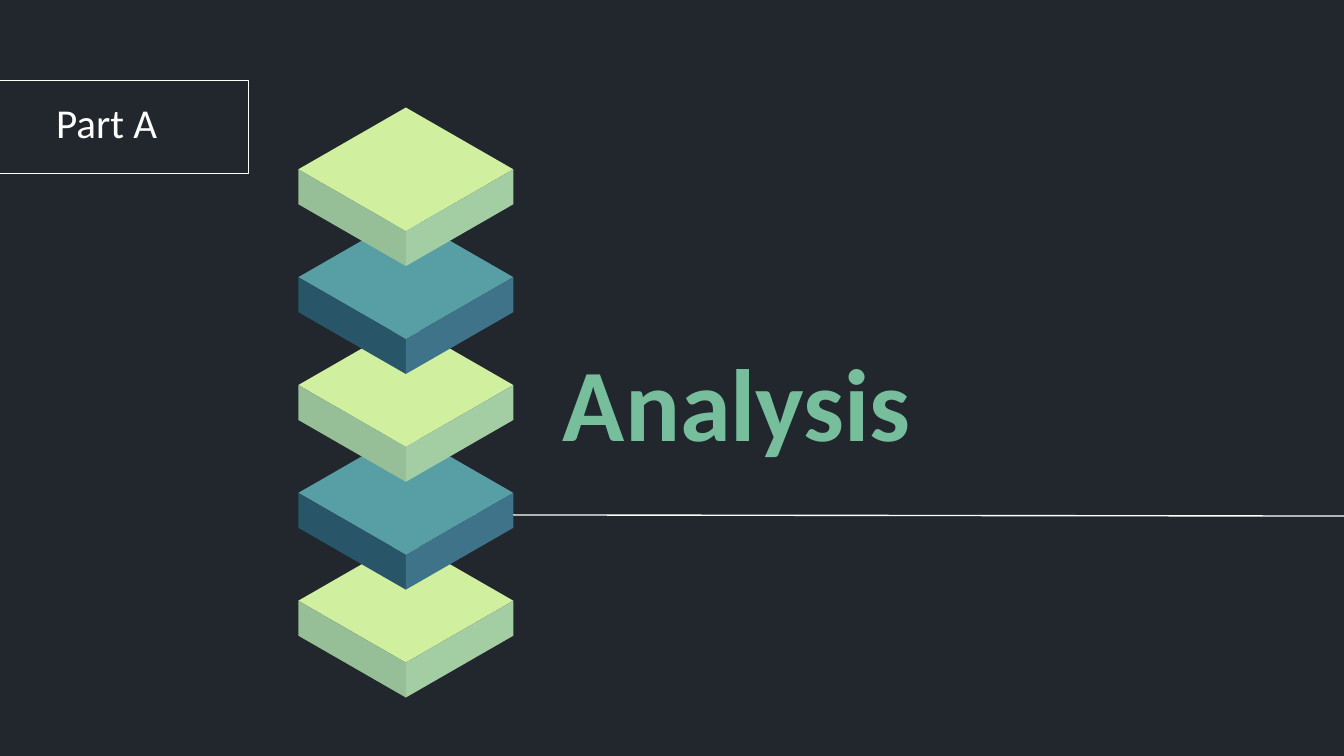
from lxml import etree
from pptx import Presentation
from pptx.dml.color import RGBColor
from pptx.enum import shapes, text
from pptx.oxml import ns
from pptx.util import Inches, Pt

COLORS = {
    "background": "22262D", "white": "FFFFFF", "title": "77BE9C",
    "lime top": "D0F09F", "lime left": "96BE97", "lime right": "A3CEA3",
    "teal top": "589EA5", "teal left": "295568", "teal right": "3E738A",
}
TILE_COUNT = 5
FIRST_TOP, LAST_TOP = 0.8, 4.01
CENTER, HALF_WIDTH, HALF_HEIGHT, DEPTH = 3.02, 0.8, 0.46, 0.26


def rgb(name):
    return RGBColor.from_string(COLORS[name])


def paint(fill, color):
    fill.solid()
    fill.fore_color.rgb = rgb(color)


def outline(line):
    line.color.rgb = rgb("white")
    line.width = Pt(0.75)


def add_tag_frame(slide):
    frame = slide.shapes.add_shape(
        shapes.MSO_SHAPE.RECTANGLE, Inches(-0.1), Inches(0.6), Inches(1.95), Inches(0.69))
    frame.shadow.inherit = False
    frame.fill.background()
    outline(frame.line)


def add_rule(slide):
    rule = slide.shapes.add_connector(
        shapes.MSO_CONNECTOR.STRAIGHT, Inches(2.63), Inches(3.83), Inches(10), Inches(3.84))
    outline(rule.line)
    etree.SubElement(rule._element.spPr, ns.qn("a:effectLst"))


def add_label(slide, wording, box, anchor, size, color, bold=False):
    label = slide.shapes.add_textbox(*map(Inches, box))
    frame = label.text_frame
    margin = Inches(0.1)
    frame_format = {
        "word_wrap": True, "vertical_anchor": anchor,
        "margin_left": margin, "margin_right": margin,
        "margin_top": margin, "margin_bottom": margin,
    }
    for key, value in frame_format.items():
        setattr(frame, key, value)
    run = frame.paragraphs[0].add_run()
    run.text = wording
    for key, value in {"name": "Calibri", "size": Pt(size), "bold": bold}.items():
        setattr(run.font, key, value)
    run.font.color.rgb = rgb(color)


def add_face(group, points, color):
    start, *rest = [(Inches(x), Inches(y)) for x, y in points]
    builder = group.shapes.build_freeform(*start)
    builder.add_line_segments(rest, close=True)
    face = builder.convert_to_shape()
    face.shadow.inherit = False
    paint(face.fill, color)
    face.line.fill.background()


def add_tile(slide, top, hue):
    """Draw an isometric slab: a diamond on top and two visible sides."""
    group = slide.shapes.add_group_shape()
    middle, front = top + HALF_HEIGHT, top + 2 * HALF_HEIGHT
    left, right = CENTER - HALF_WIDTH, CENTER + HALF_WIDTH
    diamond = [(CENTER, top), (left, middle), (CENTER, front), (right, middle)]
    add_face(group, diamond, f"{hue} top")
    for side, edge in (("left", left), ("right", right)):
        wall = [(edge, middle), (CENTER, front), (CENTER, front + DEPTH), (edge, middle + DEPTH)]
        add_face(group, wall, f"{hue} {side}")


def add_stack(slide):
    """Stack the tiles from the bottom up, so each overlaps the one below."""
    pitch = (LAST_TOP - FIRST_TOP) / (TILE_COUNT - 1)
    for level in range(TILE_COUNT):
        add_tile(slide, LAST_TOP - level * pitch, ("lime", "teal")[level % 2])


def main():
    deck = Presentation()
    deck.slide_width, deck.slide_height = Inches(10), Inches(10 * 9 / 16)
    slide = deck.slides.add_slide(deck.slide_layouts[6])
    paint(slide.background.fill, "background")
    add_tag_frame(slide)
    add_rule(slide)
    add_label(slide, "Part A", (0.32, 0.39, 1.46, 1.03), text.MSO_ANCHOR.MIDDLE, 22, "white")
    add_label(slide, "Analysis", (4.09, 2.42, 4.45, 1.16), text.MSO_ANCHOR.TOP,
              55, "title", bold=True)
    add_stack(slide)
    deck.save("out.pptx")


if __name__ == "__main__":
    main()
